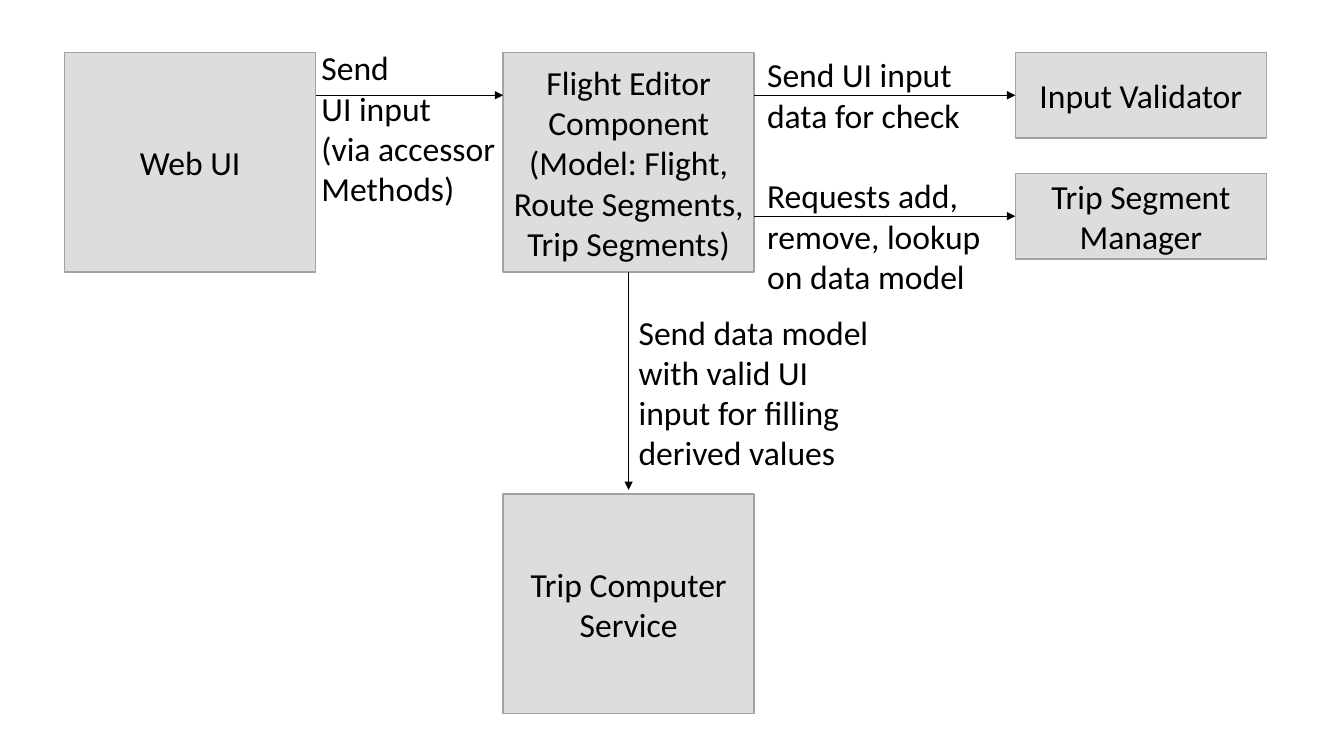
from lxml.etree import SubElement
from pptx import Presentation
from pptx.dml.color import RGBColor
from pptx.enum.shapes import MSO_CONNECTOR, MSO_SHAPE
from pptx.enum.text import MSO_ANCHOR, MSO_AUTO_SIZE, PP_ALIGN
from pptx.oxml.ns import qn
from pptx.util import Inches, Pt

BLACK = RGBColor(0x00, 0x00, 0x00)
BOX_FILL = RGBColor(0xDD, 0xDD, 0xDD)
BOX_LINE = RGBColor(0xA3, 0xA3, 0xA3)
FONT, FONT_SIZE = "Calibri", Pt(24)

# Inches
BOX_WIDTH, TALL, SHORT = 2.49, 2.18, 0.85
UI_LEFT, EDITOR_LEFT, HELPER_LEFT = 0.64, 4.99, 10.07
TOP, MANAGER_TOP, SERVICE_TOP = 0.52, 1.72, 4.9
UI_RIGHT, EDITOR_RIGHT = UI_LEFT + BOX_WIDTH, EDITOR_LEFT + BOX_WIDTH
EDITOR_MIDDLE = EDITOR_LEFT + BOX_WIDTH / 2
VALIDATOR_ROW, MANAGER_ROW = TOP + SHORT / 2, MANAGER_TOP + SHORT / 2
SERVICE_GAP = 0.04

# text, left, top, height
BOXES = [
    ("Web UI", UI_LEFT, TOP, TALL),
    ("Flight Editor Component (Model: Flight, Route Segments, Trip Segments)",
     EDITOR_LEFT, TOP, TALL),
    ("Input Validator", HELPER_LEFT, TOP, SHORT),
    ("Trip Segment Manager", HELPER_LEFT, MANAGER_TOP, SHORT),
    ("Trip Computer Service", EDITOR_LEFT, SERVICE_TOP, TALL),
]

# start x, start y, end x, end y
ARROWS = [
    (UI_RIGHT, VALIDATOR_ROW, EDITOR_LEFT, VALIDATOR_ROW),
    (EDITOR_RIGHT, VALIDATOR_ROW, HELPER_LEFT, VALIDATOR_ROW),
    (EDITOR_RIGHT, MANAGER_ROW, HELPER_LEFT, MANAGER_ROW),
    (EDITOR_MIDDLE, TOP + TALL, EDITOR_MIDDLE, SERVICE_TOP - SERVICE_GAP),
]

# paragraphs, left, top, width, height, wraps
LABELS = [
    (["Send\nUI input", "(via accessor", "Methods)"], 3.09, 0.42, 1.94, 1.72, False),
    (["Send UI input \ndata for check"], 7.51, 0.49, 2.13, 0.91, False),
    (["Requests add, remove, lookup on data model"], 7.51, 1.69, 2.49, 1.31, True),
    (["Send data model with valid UI input for filling derived values"],
     EDITOR_MIDDLE, 3.04, 2.49, 1.72, True),
]


def write(frame, paragraphs, alignment):
    for index, text in enumerate(paragraphs):
        para = frame.add_paragraph() if index else frame.paragraphs[0]
        para.alignment = alignment
        for number, line in enumerate(text.split("\n")):
            if number:
                para.add_line_break()
            span = para.add_run()
            span.text = line
            span.font.name = FONT
            span.font.size = FONT_SIZE
            span.font.color.rgb = BLACK


def add_label(page, paragraphs, left, top, width, height, wraps):
    label = page.shapes.add_textbox(*map(Inches, (left, top, width, height)))
    frame = label.text_frame
    frame.word_wrap = wraps
    frame.auto_size = MSO_AUTO_SIZE.SHAPE_TO_FIT_TEXT
    write(frame, paragraphs, PP_ALIGN.LEFT)


def add_box(page, text, left, top, height):
    box = page.shapes.add_shape(
        MSO_SHAPE.RECTANGLE, *map(Inches, (left, top, BOX_WIDTH, height)))
    box.shadow.inherit = False
    box.fill.solid()
    box.fill.fore_color.rgb = BOX_FILL
    box.line.color.rgb = BOX_LINE
    box.line.width = Pt(1)
    frame = box.text_frame
    frame.word_wrap = True
    frame.vertical_anchor = MSO_ANCHOR.MIDDLE
    write(frame, [text], PP_ALIGN.CENTER)


def add_arrow(page, *ends):
    arrow = page.shapes.add_connector(MSO_CONNECTOR.STRAIGHT, *map(Inches, ends))
    arrow.line.color.rgb = BLACK
    arrow.line.width = Pt(0.5)
    SubElement(arrow.line._get_or_add_ln(), qn("a:tailEnd"), type="triangle")
    SubElement(arrow._element.spPr, qn("a:effectLst"))


def main():
    deck = Presentation()
    deck.slide_width, deck.slide_height = Inches(13.33), Inches(7.5)
    page = deck.slides.add_slide(deck.slide_layouts[6])
    for label in LABELS:
        add_label(page, *label)
    for box in BOXES:
        add_box(page, *box)
    for arrow in ARROWS:
        add_arrow(page, *arrow)
    deck.save("out.pptx")


if __name__ == "__main__":
    main()
